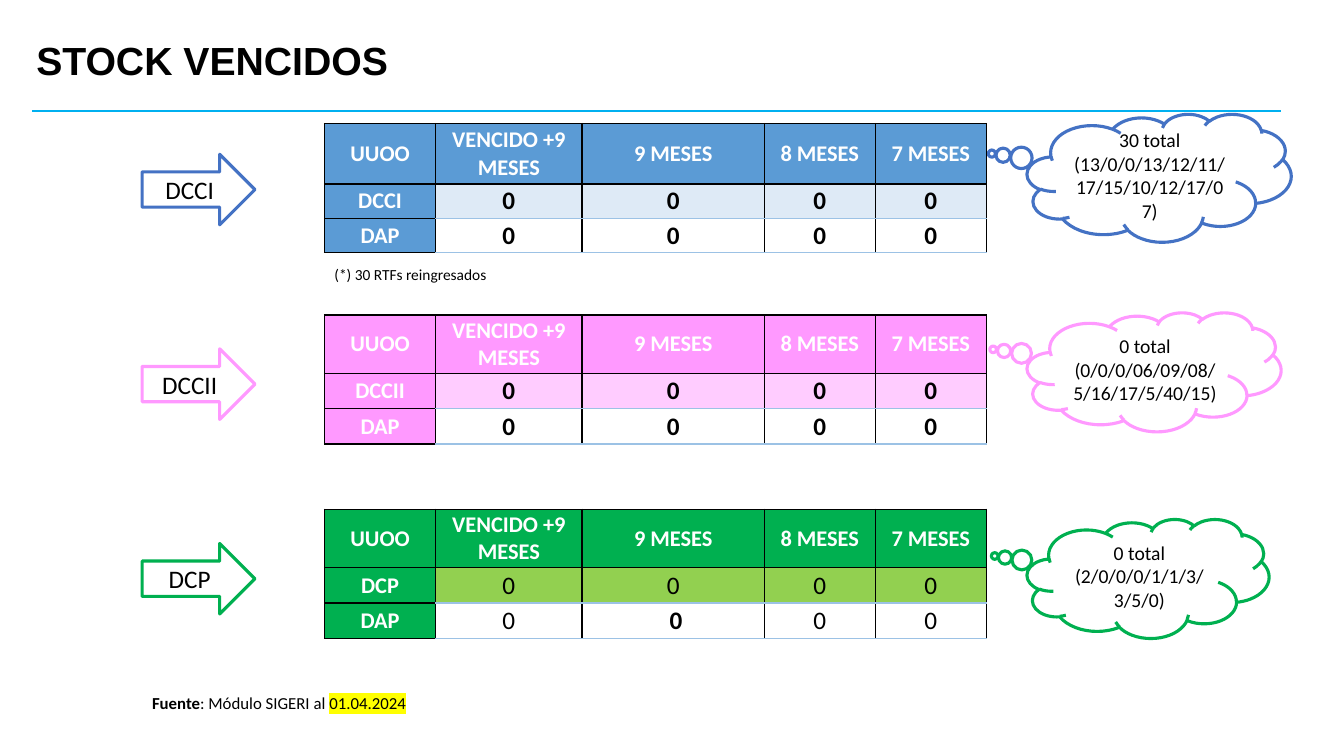
from lxml.etree import SubElement
from pptx import Presentation
from pptx.dml.color import RGBColor
from pptx.enum.shapes import MSO_CONNECTOR, MSO_SHAPE
from pptx.enum.text import MSO_ANCHOR, MSO_AUTO_SIZE, PP_ALIGN
from pptx.oxml.ns import qn
from pptx.util import Pt

BLACK, WHITE, PALE = "000000", "FFFFFF", "9CC2E5"
HEADS = ["UUOO", "VENCIDO +9 MESES", "9 MESES", "8 MESES", "7 MESES"]
WIDTHS = [79.4, 104.6, 130.2, 79.2, 79.2]


def tint(code):
    return RGBColor.from_string(code)


class Painter:
    """Holds the style and the current slide."""

    font = "Calibri"
    left, mid = PP_ALIGN.LEFT, PP_ALIGN.CENTER

    def __init__(self, deck):
        self.slide = deck.slides.add_slide(deck.slide_layouts[5])
        self.shapes = self.slide.shapes

    def text(self, frame, runs, align, size, color=BLACK, font=None):
        """Fill the first paragraph with (text, bold, highlight) runs."""
        para = frame.paragraphs[0]
        para.alignment = align
        for words, bold, mark in runs:
            run = para.add_run()
            run.text = words
            face = run.font
            face.size, face.bold = Pt(size), bold
            face.name = font or self.font
            face.color.rgb = tint(color)
            if mark:
                props = run._r.get_or_add_rPr()
                glow = SubElement(props, qn("a:highlight"))
                SubElement(glow, qn("a:srgbClr"), val=mark)
                props.find(qn("a:latin")).addprevious(glow)
        return para

    def title(self, words, x, y, w, h):
        box = self.shapes.title
        box.left, box.top, box.width, box.height = Pt(x), Pt(y), Pt(w), Pt(h)
        frame = box.text_frame
        frame.word_wrap = True
        frame.auto_size = MSO_AUTO_SIZE.NONE
        frame.vertical_anchor = MSO_ANCHOR.MIDDLE
        para = self.text(frame, [(words, True, None)], self.left, 28, font="Arial")
        para.line_spacing = 0.9

    def rule(self, x, y, end, color):
        line = self.shapes.add_connector(
            MSO_CONNECTOR.STRAIGHT, Pt(x), Pt(y), Pt(end), Pt(y))
        line.line.color.rgb = tint(color)
        line.line.width = Pt(1.5)
        SubElement(line._element.spPr, qn("a:effectLst"))

    def note(self, runs, x, y, w, h, size):
        frame = self.shapes.add_textbox(Pt(x), Pt(y), Pt(w), Pt(h)).text_frame
        frame.word_wrap = True
        frame.auto_size = MSO_AUTO_SIZE.SHAPE_TO_FIT_TEXT
        self.text(frame, runs, self.left, size)

    def shape(self, kind, words, x, y, w, h, color, size, tail=()):
        item = self.shapes.add_shape(kind, Pt(x), Pt(y), Pt(w), Pt(h))
        for spot, value in enumerate(tail):
            item.adjustments[spot] = value
        item.shadow.inherit = False
        item.fill.solid()
        item.fill.fore_color.rgb = tint(WHITE)
        item.line.color.rgb = tint(color)
        item.line.width = Pt(2.25)
        frame = item.text_frame
        frame.word_wrap = True
        frame.vertical_anchor = MSO_ANCHOR.MIDDLE
        self.text(frame, [(words, False, None)], self.mid, size)

    def cell(self, cell, words, fill, size, color, bold, edges):
        cell.margin_left = cell.margin_right = Pt(3.6)
        cell.margin_top = cell.margin_bottom = Pt(0)
        cell.vertical_anchor = MSO_ANCHOR.MIDDLE
        self.text(cell.text_frame, [(words, bold, None)], self.mid, size, color)
        props = cell._tc.get_or_add_tcPr()
        for side, edge in zip("LRTB", edges):
            line = SubElement(props, qn("a:ln" + side), w=str(Pt(1)))
            paint = SubElement(line, qn("a:solidFill"))
            SubElement(paint, qn("a:srgbClr"), val=edge)
        cell.fill.solid()
        cell.fill.fore_color.rgb = tint(fill)

    def table(self, rows, x, y, highs, main, soft, bold):
        grid = self.shapes.add_table(
            len(rows), len(WIDTHS), Pt(x), Pt(y), Pt(sum(WIDTHS)), Pt(sum(highs))).table
        grid.first_row = grid.horz_banding = False
        for col, width in zip(grid.columns, WIDTHS):
            col.width = Pt(width)
        for r, (row, high) in enumerate(zip(rows, highs)):
            grid.rows[r].height = Pt(high)
            for c, words in enumerate(row):
                cell = grid.cell(r, c)
                if r == 0 or c == 0:
                    self.cell(cell, words, main, 16, WHITE, True, [BLACK] * 4)
                else:
                    fill, top = (soft, BLACK) if r == 1 else (WHITE, PALE)
                    # The padded zero is the one that stays bold
                    self.cell(cell, words, fill, 18, BLACK, bold or words != "0",
                              [BLACK, BLACK, top, PALE])


def main():
    deck = Presentation()
    deck.slide_width, deck.slide_height = Pt(960), Pt(540)
    art = Painter(deck)

    # Heading
    art.rule(23, 79.2, 915, "00B0F0")
    art.title("STOCK VENCIDOS", 18.7, 19.4, 828, 50.4)

    # One band per unit: name, line, header and tint colours, bold zeros,
    # second zero of DAP, table top and rows, cloud text and place
    tall, short = [43.2, 24.5, 24.5], [41.8, 25.2, 25.2]
    bands = [
        ("DCCI", "4472C4", "5B9BD5", "DEEAF6", True, "0", 88.2, tall,
         "30 total (13/0/0/13/12/11/17/15/10/12/17/07)", 81.4, 188.6, 91.4),
        ("DCCII", "FF99FF", "FF99FF", "FFCCFF", True, "0", 225, short,
         "0 total (0/0/0/06/09/08/5/16/17/5/40/15)", 223.2, 181.4, 85),
        ("DCP", "00B050", "00B050", "92D050", False, " 0", 363.8, short,
         "0 total (2/0/0/0/1/1/3/3/5/0)", 370.8, 172.8, 85),
    ]
    for i, band in enumerate(bands):
        name, line, head, soft, bold, zero, top, highs, total, y, w, h = band
        art.shape(MSO_SHAPE.RIGHT_ARROW, name, 101.5, 110.2 + 139 * i,
                  80.6, 50.4, line, 18)
        art.shape(MSO_SHAPE.CLOUD_CALLOUT, total, 733.7, y, w, h, line, 14,
                  (-0.634, -0.19))
        rows = [HEADS, [name] + ["0"] * 4, ["DAP", "0", zero, "0", "0"]]
        art.table(rows, 231.8, top, highs, head, soft, bold)

    # Notes
    art.note([("(*) 30 RTFs reingresados", False, None)], 231.8, 185.8, 460, 20.9, 11)
    art.note([("Fuente", True, None), (": Módulo SIGERI al ", False, None),
              ("01.04.2024", False, "FFFF00")], 101.5, 491, 246.2, 21.6, 12)

    deck.save("out.pptx")


if __name__ == "__main__":
    main()
